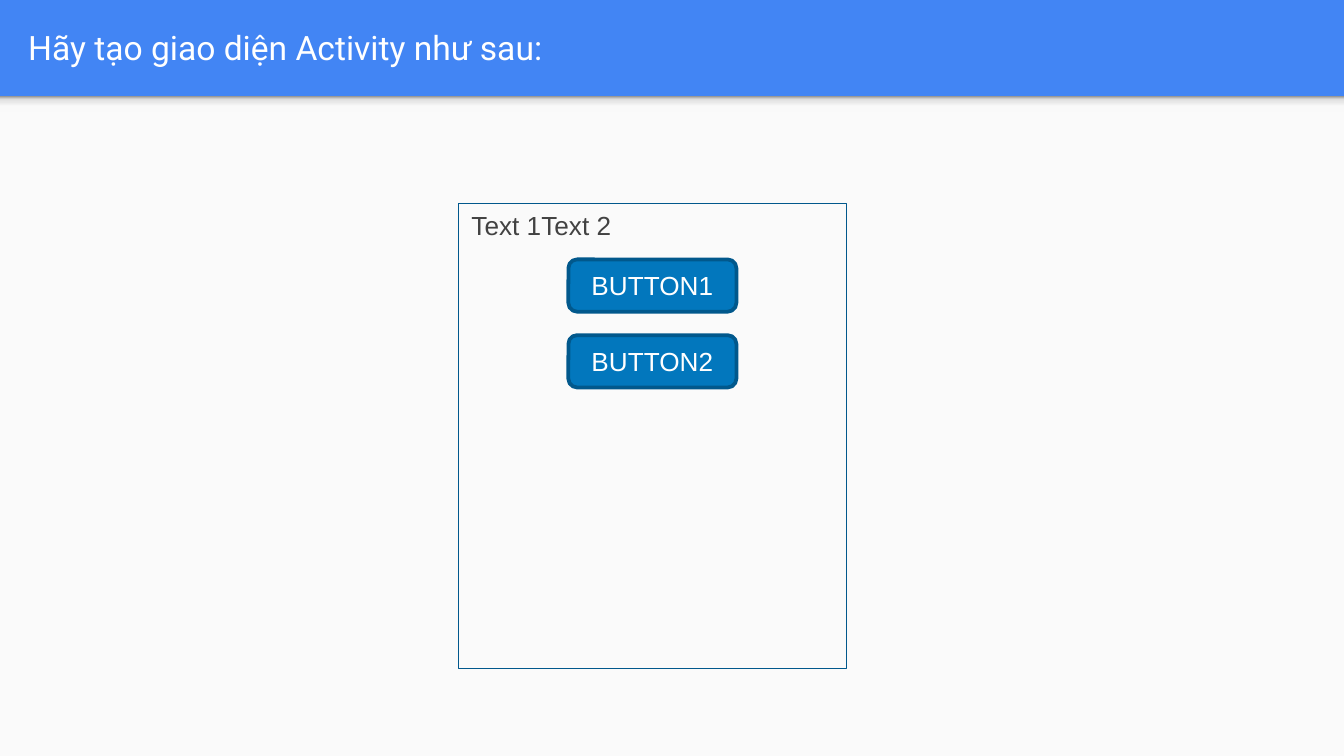
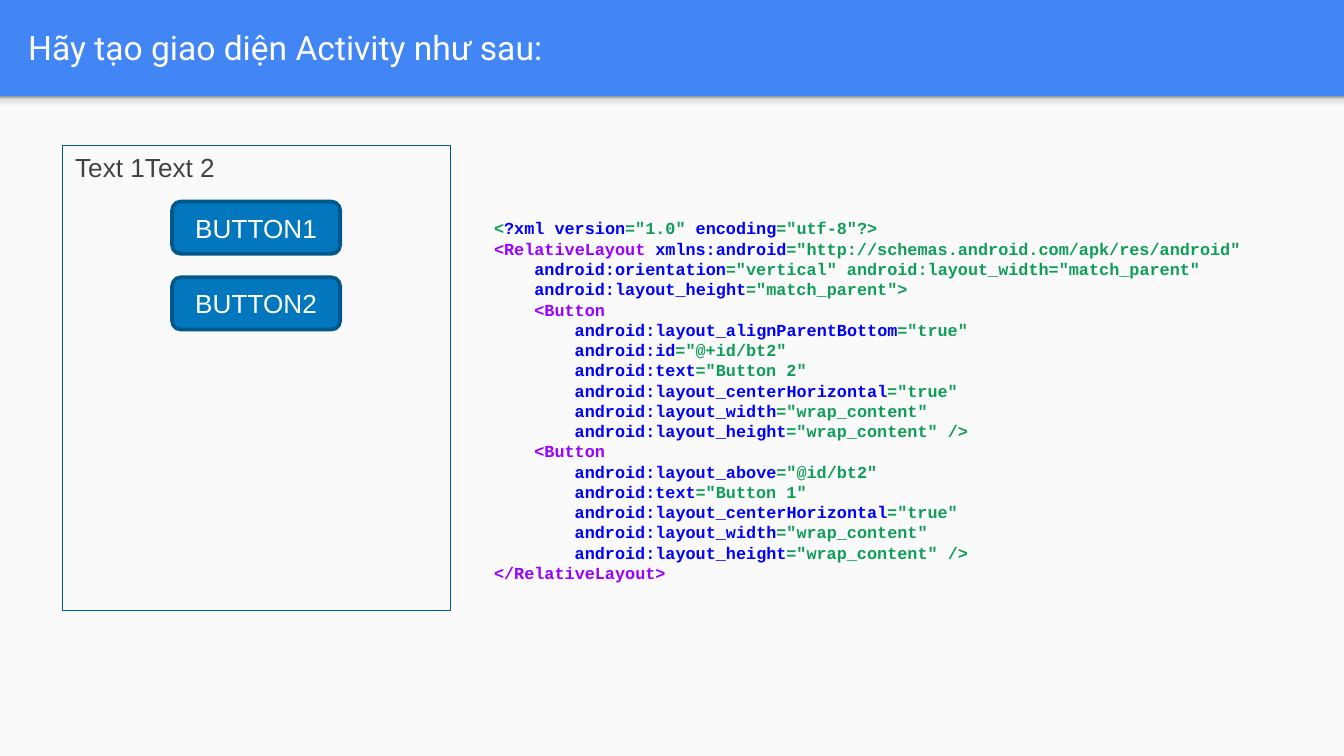
"""Build two slides showing an Activity layout exercise and its XML solution."""
from dataclasses import dataclass

from lxml.etree import SubElement
from pptx import Presentation
from pptx.dml.color import RGBColor
from pptx.enum.shapes import MSO_SHAPE
from pptx.enum.text import MSO_ANCHOR, MSO_AUTO_SIZE, PP_ALIGN
from pptx.oxml.ns import qn
from pptx.util import Pt

SLIDE_WIDTH, SLIDE_HEIGHT = 720, 405
BAND_HEIGHT, SHADOW_HEIGHT = 51.6, 8.4
BAND_BLUE, PAGE, WHITE = "4285F4", "FAFAFA", "FFFFFF"
BUTTON_BLUE, OUTLINE, BODY_TEXT = "0277BD", "01588C", "424242"
TAG, NAME, VALUE = "9900FF", "0000FF", "0F9D58"
SHADOW_STOPS = ((0, "F9F9F9"), (36, "F9F9F9"), (80, "DEDEDE"), (100, "999999"))
TITLE = "Hãy tạo giao diện Activity như sau:"
BUTTON_LABELS = ("BUTTON1", "BUTTON2")
BUTTON_STEP = 40.6
CODE_INDENT, CODE_LINE_HEIGHT = 21.6, 10.85


@dataclass(frozen=True)
class Box:
    left: float
    top: float
    width: float
    height: float

    def lengths(self) -> tuple:
        return tuple(Pt(value) for value in (self.left, self.top, self.width, self.height))


@dataclass(frozen=True)
class CodeLine:
    level: int
    runs: tuple


def rgb(color: str) -> RGBColor:
    return RGBColor.from_string(color)


def write_text(paragraph, text: str, *, size: float, font: str, color: str,
               bold: bool = False, align=PP_ALIGN.LEFT) -> None:
    paragraph.alignment = align
    run = paragraph.add_run()
    run.text = text
    run.font.size = Pt(size)
    run.font.name = font
    run.font.bold = bold
    run.font.color.rgb = rgb(color)


def add_box(shapes, kind, box: Box, *, fill: str = "", line: str = "", line_width: float = 1):
    shape = shapes.add_shape(kind, *box.lengths())
    shape.shadow.inherit = False
    if fill:
        shape.fill.solid()
        shape.fill.fore_color.rgb = rgb(fill)
    else:
        shape.fill.background()
    if line:
        shape.line.color.rgb = rgb(line)
        shape.line.width = Pt(line_width)
    else:
        shape.line.fill.background()
    return shape


def add_band_shadow(slide) -> None:
    box = Box(0, BAND_HEIGHT, SLIDE_WIDTH, SHADOW_HEIGHT)
    shadow = add_box(slide.shapes, MSO_SHAPE.RECTANGLE, box)
    shadow.fill.gradient()
    shadow.fill.gradient_angle = 90
    stops = shadow.element.spPr.find(".//" + qn("a:gsLst"))
    stops.clear()
    for position, color in SHADOW_STOPS:
        stop = SubElement(stops, qn("a:gs"), pos=str(position * 1000))
        SubElement(stop, qn("a:srgbClr"), val=color)


def set_margins(frame, margin: float) -> None:
    frame.margin_left = frame.margin_right = Pt(margin)
    frame.margin_top = frame.margin_bottom = Pt(margin)


def add_exercise_slide(presentation):
    slide = presentation.slides.add_slide(presentation.slide_layouts.get_by_name("Title Only"))
    page = Box(0, BAND_HEIGHT, SLIDE_WIDTH, SLIDE_HEIGHT - BAND_HEIGHT)
    add_box(slide.shapes, MSO_SHAPE.RECTANGLE, page, fill=PAGE)
    add_band_shadow(slide)
    title = slide.shapes.title
    title.left, title.top, title.width, title.height = Box(7.9, 1.6, 695, 47.6).lengths()
    frame = title.text_frame
    frame.auto_size = MSO_AUTO_SIZE.NONE
    frame.vertical_anchor = MSO_ANCHOR.MIDDLE
    set_margins(frame, 7.2)
    write_text(frame.paragraphs[0], TITLE, size=18, font="Roboto", color=WHITE)
    return slide


def add_activity(slide, left: float, top: float) -> None:
    shapes = slide.shapes.add_group_shape().shapes
    screen = add_box(shapes, MSO_SHAPE.RECTANGLE, Box(left, top, 208, 249),
                     line=OUTLINE, line_width=0.25)
    screen.text_frame.vertical_anchor = MSO_ANCHOR.TOP
    write_text(screen.text_frame.paragraphs[0], "Text 1Text 2",
               size=14, font="Arial", color=BODY_TEXT)
    for index, label in enumerate(BUTTON_LABELS):
        box = Box(left + 59, top + 30.2 + index * BUTTON_STEP, 90, 28)
        button = add_box(shapes, MSO_SHAPE.ROUNDED_RECTANGLE, box,
                         fill=BUTTON_BLUE, line=OUTLINE, line_width=2)
        button.text_frame.vertical_anchor = MSO_ANCHOR.MIDDLE
        write_text(button.text_frame.paragraphs[0], label, size=14, font="Arial",
                   color=WHITE, align=PP_ALIGN.CENTER)


def attribute(level: int, name: str, value: str, ending: str = "") -> CodeLine:
    return CodeLine(level, ((f"android:{name}", NAME), (f'="{value}"{ending}', VALUE)))


def button_code(label: str, *placement: CodeLine) -> list[CodeLine]:
    return [
        CodeLine(1, (("<Button", TAG),)),
        *placement,
        attribute(2, "text", label),
        attribute(2, "layout_centerHorizontal", "true"),
        attribute(2, "layout_width", "wrap_content"),
        attribute(2, "layout_height", "wrap_content", " />"),
    ]


def layout_code() -> list[CodeLine]:
    return [
        CodeLine(0, (("<", VALUE), ("?xml version", NAME), ('="1.0" ', VALUE),
                     ("encoding", NAME), ('="utf-8"?>', VALUE))),
        CodeLine(0, (("<RelativeLayout ", TAG), ("xmlns:android", NAME),
                     ('="http://schemas.android.com/apk/res/android"', VALUE))),
        attribute(1, "orientation", "vertical", ' android:layout_width="match_parent"'),
        attribute(1, "layout_height", "match_parent", ">"),
        *button_code("Button 2", attribute(2, "layout_alignParentBottom", "true"),
                     attribute(2, "id", "@+id/bt2")),
        *button_code("Button 1", attribute(2, "layout_above", "@id/bt2")),
        CodeLine(0, (("</RelativeLayout>", TAG),)),
    ]


def add_code(slide, box: Box, lines: list[CodeLine]) -> None:
    frame = slide.shapes.add_textbox(*box.lengths()).text_frame
    frame.word_wrap = True
    frame.vertical_anchor = MSO_ANCHOR.MIDDLE
    set_margins(frame, 7.2)
    for index, line in enumerate(lines):
        paragraph = frame.add_paragraph() if index else frame.paragraphs[0]
        paragraph.line_spacing = Pt(CODE_LINE_HEIGHT)
        properties = paragraph._p.get_or_add_pPr()
        properties.set("marL", str(Pt(line.level * CODE_INDENT)))
        properties.set("indent", "0")
        for text, color in line.runs:
            write_text(paragraph, text, size=9, font="Courier New", color=color, bold=True)


def main() -> None:
    presentation = Presentation()
    presentation.slide_width, presentation.slide_height = Pt(SLIDE_WIDTH), Pt(SLIDE_HEIGHT)
    background = presentation.slide_master.background.fill
    background.solid()
    background.fore_color.rgb = rgb(BAND_BLUE)

    exercise = add_exercise_slide(presentation)
    add_activity(exercise, 245.5, 108.8)

    solution = add_exercise_slide(presentation)
    add_code(solution, Box(257.6, 69.8, 424, 289.6), layout_code())
    add_activity(solution, 33.2, 77.8)

    presentation.save("out.pptx")


if __name__ == "__main__":
    main()
